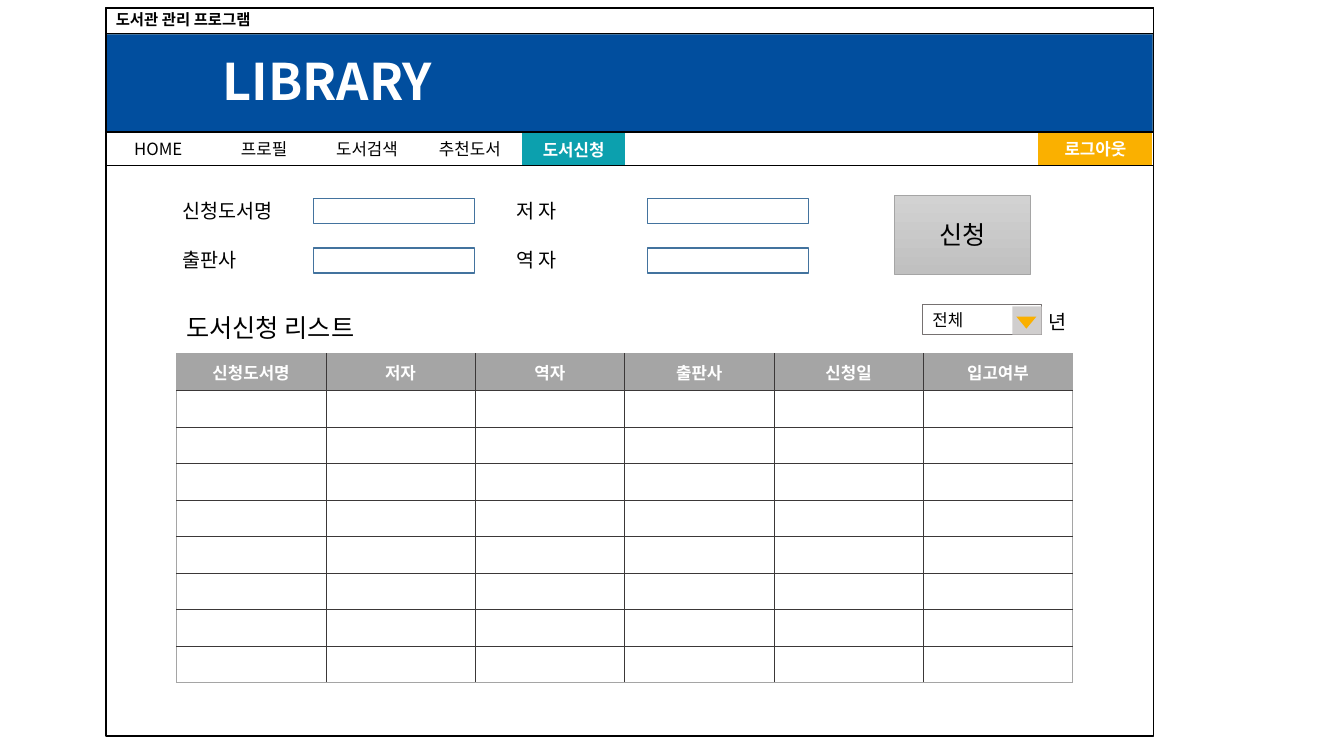
from lxml.etree import SubElement
from pptx import Presentation
from pptx.dml.color import RGBColor
from pptx.enum.shapes import MSO_SHAPE as Shape
from pptx.enum.text import MSO_ANCHOR as Anchor, PP_ALIGN as Align
from pptx.oxml.ns import qn
from pptx.util import Inches, Pt

WHITE = RGBColor(0xFF, 0xFF, 0xFF)
BLACK = RGBColor(0x00, 0x00, 0x00)
BANNER_BLUE = RGBColor(0x01, 0x4E, 0x9E)
FIELD_BLUE = RGBColor(0x43, 0x73, 0x9E)
TEAL = RGBColor(0x0C, 0xA0, 0xAE)
AMBER = RGBColor(0xFA, 0xB0, 0x00)
GRAY = RGBColor(0xA5, 0xA5, 0xA5)
GRID_GRAY = RGBColor(0x3B, 0x38, 0x38)
SELECT_GRAY = RGBColor(0x76, 0x71, 0x71)
ARROW_GRAY = RGBColor(0xD0, 0xCE, 0xCE)
BUTTON_TOP = RGBColor(0xD2, 0xD2, 0xD2)
BUTTON_BOTTOM = RGBColor(0xC0, 0xC0, 0xC0)

HEADERS = ["신청도서명", "저자", "역자", "출판사", "신청일", "입고여부"]
ROW_COUNT = 9
FRAME_LEFT, FRAME_WIDTH = 1.05, 10.39
MENU_TOP, MENU_HEIGHT = 1.31, 0.33


class Screen:
    font_name = "Noto Sans CJK KR"

    def __init__(self, slide):
        self.slide = slide

    def add_text(self, frame, text, size, color=BLACK, bold=False, align=Align.LEFT):
        paragraph = frame.paragraphs[0]
        paragraph.alignment = align
        run = paragraph.add_run()
        run.text = text
        formats = {"name": self.font_name, "size": Pt(size), "bold": bold}
        for name, value in formats.items():
            setattr(run.font, name, value)
        run.font.color.rgb = color
        SubElement(run.font._element, qn("a:ea"), typeface=self.font_name)

    def label(self, left, top, width, height, text, size, wrap=True, **style):
        box = self.slide.shapes.add_textbox(
            Inches(left), Inches(top), Inches(width), Inches(height))
        box.text_frame.word_wrap = wrap
        self.add_text(box.text_frame, text, size, **style)

    def box(self, left, top, width, height, kind=Shape.RECTANGLE, fill=None,
            line=None, weight=1):
        shape = self.slide.shapes.add_shape(
            kind, Inches(left), Inches(top), Inches(width), Inches(height))
        shape.shadow.inherit = False
        if fill is None:
            shape.fill.background()
        else:
            shape.fill.solid()
            shape.fill.fore_color.rgb = fill
        if line is None:
            shape.line.fill.background()
        else:
            shape.line.color.rgb = line
            shape.line.width = Pt(weight)
        shape.text_frame.vertical_anchor = Anchor.MIDDLE
        return shape

    def frame(self, top, height):
        self.box(FRAME_LEFT, top, FRAME_WIDTH, height,
                 Shape.FLOWCHART_PROCESS, line=BLACK)

    def menu_item(self, left, width, text, fill=None, top=MENU_TOP, **style):
        shape = self.box(left, top, width, MENU_HEIGHT,
                         Shape.FLOWCHART_PROCESS, fill)
        self.add_text(shape.text_frame, text, 12, align=Align.CENTER, **style)

    def field(self, left, top, text, label_width):
        self.box(left + 1.4, top + 0.05, 1.6, 0.25, fill=WHITE, line=FIELD_BLUE)
        self.label(left, top, label_width, 0.34, text, 14)

    def button(self, left, top, width, height, text):
        shape = self.box(left, top, width, height, line=GRAY, weight=0.5)
        shape.fill.gradient()
        shape.fill.gradient_angle = 270
        for stop, color in zip(shape.fill.gradient_stops, (BUTTON_TOP, BUTTON_BOTTOM)):
            stop.color.rgb = color
        self.add_text(shape.text_frame, text, 18, align=Align.CENTER)

    def select(self, left, top, text):
        shape = self.box(left, top, 1.18, 0.3, line=SELECT_GRAY, weight=0.75)
        self.add_text(shape.text_frame, text, 12)
        self.box(left + 0.89, top + 0.02, 0.29, 0.28, fill=ARROW_GRAY)
        self.box(left + 0.93, top + 0.12, 0.2, 0.12, Shape.FLOWCHART_MERGE, AMBER)

    def border(self, cell, side, outer):
        color, weight = (GRAY, 0.5) if outer else (GRID_GRAY, 0.25)
        properties = cell._tc.get_or_add_tcPr()
        line = SubElement(properties, qn(f"a:ln{side}"), w=str(Pt(weight)))
        SubElement(SubElement(line, qn("a:solidFill")), qn("a:srgbClr"), val=str(color))

    def table(self, left, top, width, height, headers, row_count):
        column_count = len(headers)
        table = self.slide.shapes.add_table(
            row_count, column_count, Inches(left), Inches(top),
            Inches(width), Inches(height)).table
        table.first_row = table.horz_banding = False
        for row in range(row_count):
            for column, header in enumerate(headers):
                cell = table.cell(row, column)
                cell.vertical_anchor = Anchor.MIDDLE
                edges = {"L": column == 0, "R": column == column_count - 1,
                         "T": row == 0, "B": row == row_count - 1}
                for side, outer in edges.items():
                    self.border(cell, side, outer)
                cell.fill.solid()
                cell.fill.fore_color.rgb = WHITE if row else GRAY
                if row:
                    paragraph = cell.text_frame.paragraphs[0]
                    SubElement(paragraph._p, qn("a:endParaRPr"), sz="1200")
                else:
                    self.add_text(cell.text_frame, header, 12, WHITE, True, Align.CENTER)


def main():
    presentation = Presentation()
    presentation.slide_width = Inches(13.33)
    presentation.slide_height = Inches(7.5)
    screen = Screen(presentation.slides.add_slide(presentation.slide_layouts[6]))

    screen.box(FRAME_LEFT, 0.34, 10.38, 0.97, fill=BANNER_BLUE, line=FIELD_BLUE)
    screen.label(2.11, 0.45, 2.28, 0.71, "LIBRARY", 36, color=WHITE, bold=True)
    screen.label(FRAME_LEFT, 0.05, 3.07, 0.29, "도서관 관리 프로그램", 11, bold=True)
    screen.frame(0.08, 0.25)
    screen.frame(0.08, 7.22)

    screen.menu_item(FRAME_LEFT, 1.04, "HOME", WHITE)
    for index, text in enumerate(["프로필", "도서검색", "추천도서"]):
        screen.menu_item(2.11 + 1.02 * index, 1.02, text)
    screen.menu_item(5.18, 1.02, "도서신청", TEAL, top=1.32, color=WHITE, bold=True)
    screen.menu_item(10.3, 1.13, "로그아웃", AMBER, color=WHITE, bold=True)
    screen.frame(MENU_TOP, MENU_HEIGHT)

    fields = [["신청도서명", "저 자"], ["출판사", "역 자"]]
    for row, texts in enumerate(fields):
        for column, text in enumerate(texts):
            screen.field(1.71 + 3.31 * column, 1.92 + 0.49 * row, text, 1.26)
    screen.button(8.87, 1.94, 1.35, 0.78, "신청")

    screen.table(1.75, 3.51, 8.89, 3.26, HEADERS, ROW_COUNT)
    screen.label(1.75, 3.05, 2.49, 0.4, "도서신청 리스트", 18)
    screen.select(9.15, 3.02, "전체")
    screen.label(10.3, 3.03, 0.4, 0.34, "년", 14, wrap=False)
    presentation.save("out.pptx")


if __name__ == "__main__":
    main()
